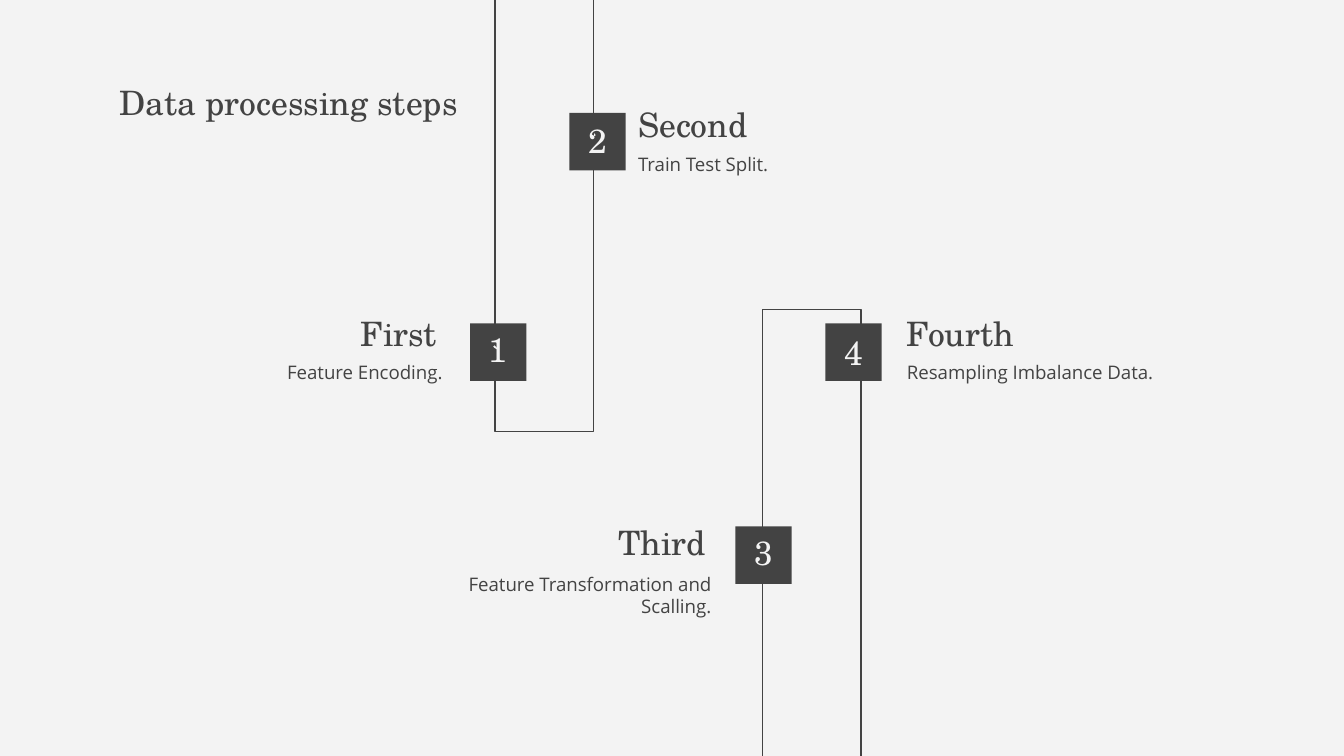
from pptx import Presentation
from pptx.dml.color import RGBColor
from pptx.enum.shapes import MSO_SHAPE
from pptx.enum.text import MSO_ANCHOR, PP_ALIGN
from pptx.util import Pt

RECTANGLE = MSO_SHAPE.RECTANGLE
TOP, BOTTOM = MSO_ANCHOR.TOP, MSO_ANCHOR.BOTTOM
LEFT, CENTER, RIGHT = PP_ALIGN.LEFT, PP_ALIGN.CENTER, PP_ALIGN.RIGHT

COLORS = {"dark": "434343", "light": "F3F3F3"}
SERIF, SANS = "TeX Gyre Schola", "Open Sans"
SQUARE_WIDTH, SQUARE_HEIGHT = 30.2, 30.8
TEXT_WIDTH = 148.3
BODY_OFFSET = 42.1


def color(name):
    return RGBColor.from_string(COLORS[name])


def add_text(text, left, top, width, height, font=SERIF, size=18,
             fill="dark", align=LEFT, anchor=BOTTOM):
    box = slide.shapes.add_textbox(Pt(left), Pt(top), Pt(width), Pt(height))
    frame = box.text_frame
    frame.word_wrap = True
    frame.vertical_anchor = anchor
    frame.margin_left = frame.margin_right = Pt(7.2)
    frame.margin_top = frame.margin_bottom = Pt(7.2)
    paragraph = frame.paragraphs[0]
    paragraph.text = text
    paragraph.alignment = align
    paragraph.font.name = font
    paragraph.font.size = Pt(size)
    paragraph.font.color.rgb = color(fill)


presentation = Presentation()
presentation.slide_width, presentation.slide_height = Pt(720), Pt(405)
slide = presentation.slides.add_slide(presentation.slide_layouts[6])
slide.background.fill.solid()
slide.background.fill.fore_color.rgb = color("light")

# Outlined tracks that run off the top and bottom edges
for left, top, height in [(265.2, -6.5, 237.6), (408.6, 165.8, 244.8)]:
    track = slide.shapes.add_shape(RECTANGLE, Pt(left), Pt(top), Pt(52.7), Pt(height))
    track.shadow.inherit = False
    track.fill.background()
    track.line.color.rgb = color("dark")
    track.line.width = Pt(0.75)

# Title
add_text("Data processing steps", 56.9, 36.7, 204.5, 74.2, anchor=TOP)

# Steps: heading, description, text left and top, side, square left and top, number top
steps = [
    ("First", "Feature Encoding.", 92.9, 145.4, RIGHT, 251.8, 173.2, 177.1),
    ("Second", "Train Test Split.", 334.8, 33.6, LEFT, 305, 60.5, 64.8),
    ("Third", "Feature Transformation and Scalling.", 236.9, 257.5, RIGHT, 394, 282, 285.8),
    ("Fourth", "Resampling Imbalance Data.", 478.8, 145.4, LEFT, 442.2, 173.2, 178.6),
]
for number, step in enumerate(steps, start=1):
    heading, description, left, top, align, square_left, square_top, number_top = step
    body_left = left + 2.9 if align == RIGHT else left
    add_text(heading, left, top, TEXT_WIDTH, 51.1, align=align)
    add_text(description, body_left, top + BODY_OFFSET, TEXT_WIDTH, 87.8,
             font=SANS, size=10, align=align, anchor=TOP)
    square = slide.shapes.add_shape(RECTANGLE, Pt(square_left), Pt(square_top),
                                    Pt(SQUARE_WIDTH), Pt(SQUARE_HEIGHT))
    square.shadow.inherit = False
    square.fill.solid()
    square.fill.fore_color.rgb = color("dark")
    square.line.fill.background()
    add_text(str(number), square_left, number_top, SQUARE_WIDTH, 28.1,
             fill="light", align=CENTER)

# Small light flecks beside the numbers 1 and 2
flecks = [
    [(264.96, 185.04), (266.4, 186.48), (266.4, 187.2), (264.96, 186.48), (264.24, 185.76)],
    [(318.24, 71.28), (318.96, 72), (318.96, 72.72), (318.24, 72.72)],
]
for points in flecks:
    # Hundredths of a point keep the small outlines exact
    (start_x, start_y), *others = [(x * 100, y * 100) for x, y in points]
    builder = slide.shapes.build_freeform(start_x, start_y, scale=Pt(1) / 100)
    builder.add_line_segments(others, close=True)
    fleck = builder.convert_to_shape()
    fleck.shadow.inherit = False
    fleck.fill.solid()
    fleck.fill.fore_color.rgb = color("light")
    fleck.line.fill.background()

presentation.save("out.pptx")
